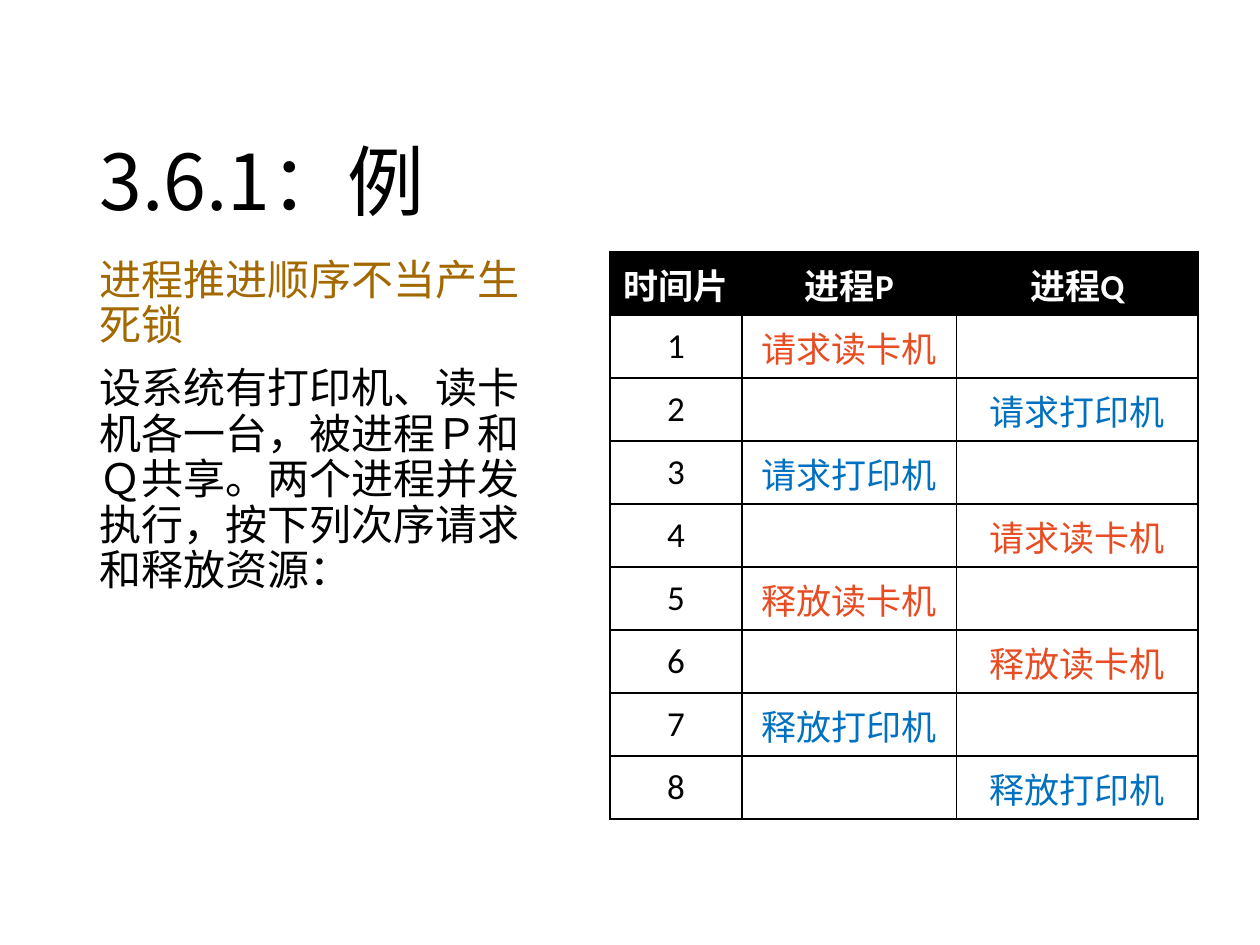
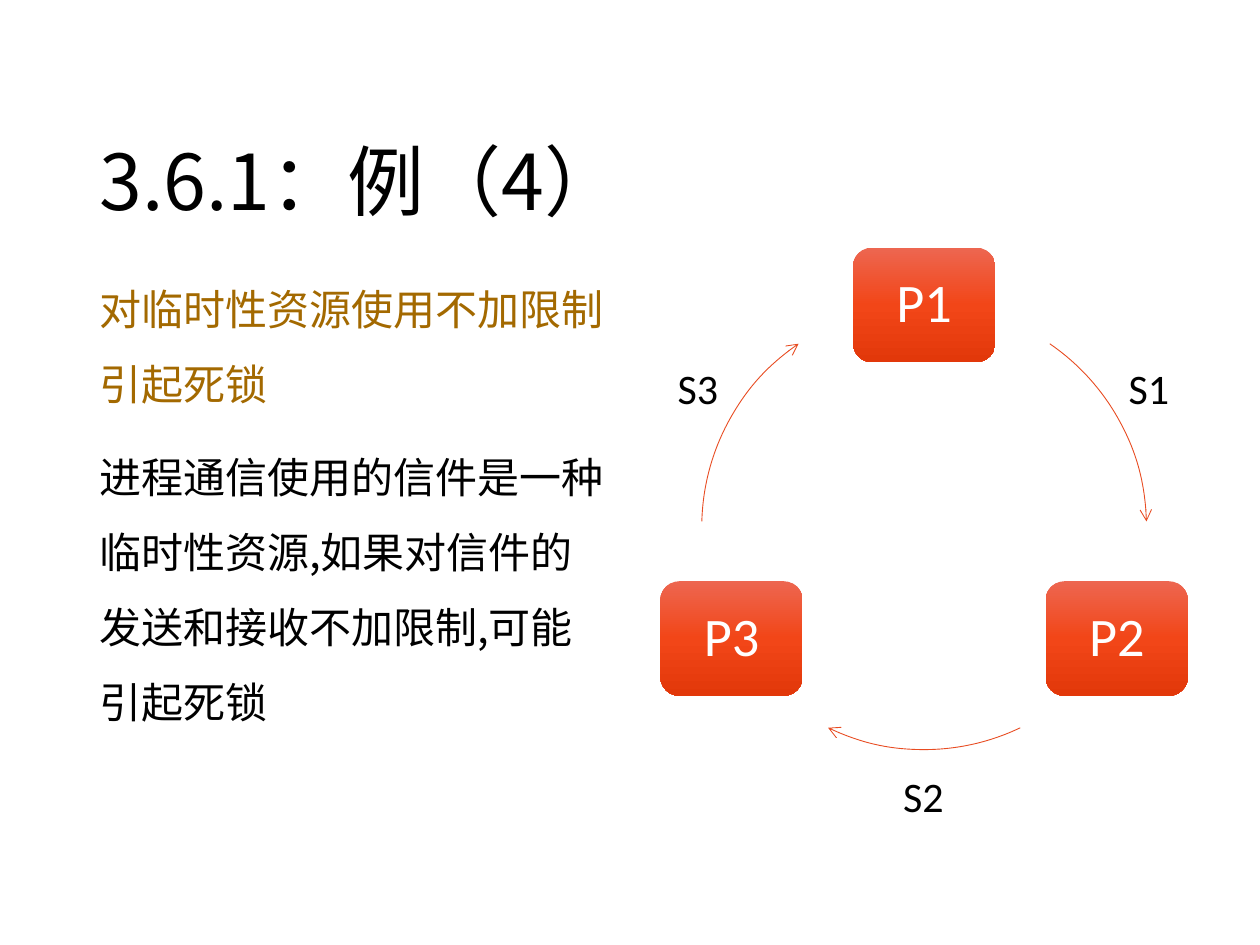
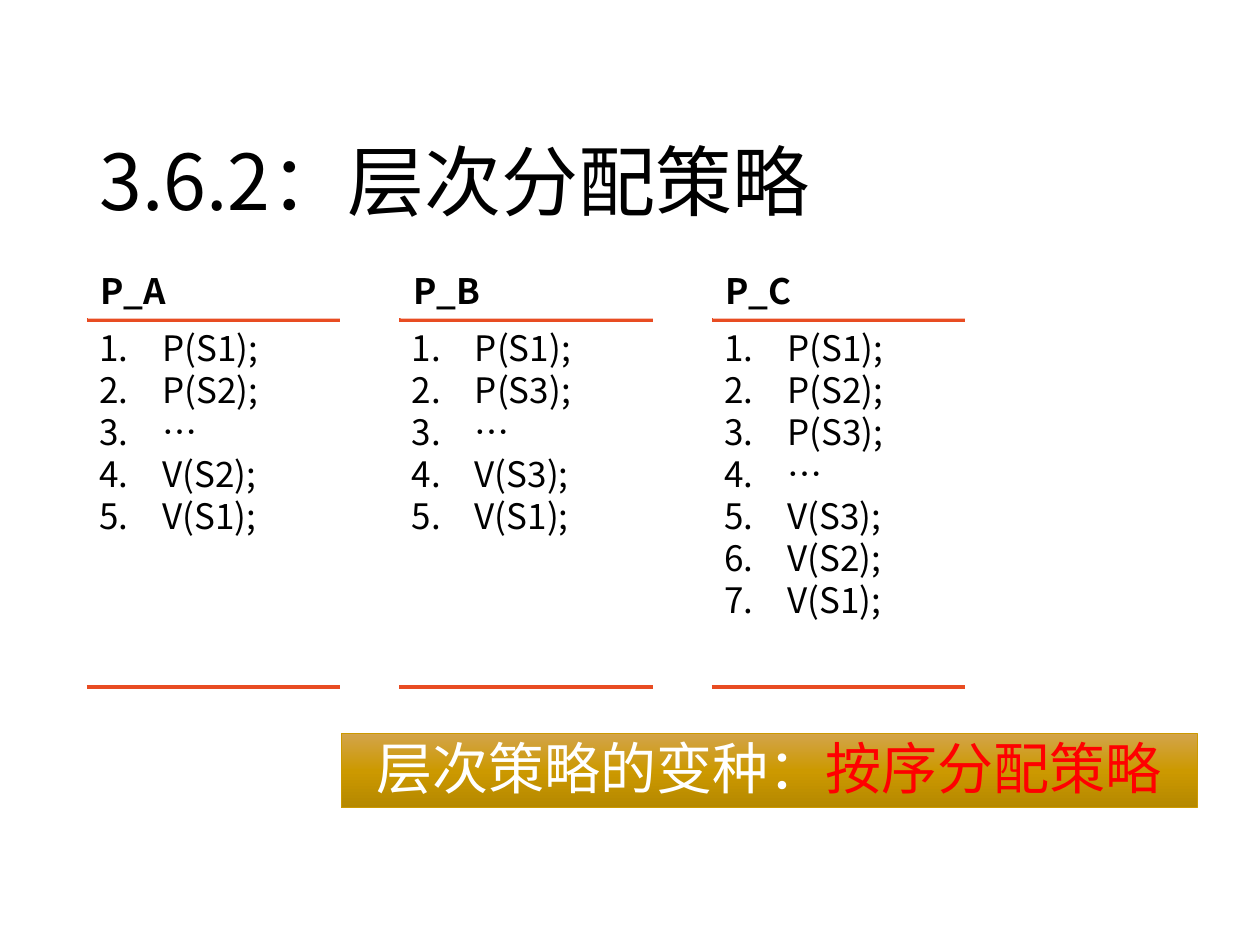
from dataclasses import dataclass
from copy import deepcopy
from math import cos, radians, sin

from lxml import etree
from pptx import Presentation, util as u
from pptx.dml.color import RGBColor
from pptx.enum import shapes, text
from pptx.oxml.ns import qn

CENTER = text.PP_ALIGN.CENTER
LEFT = text.PP_ALIGN.LEFT
COLUMNS, ROWS = 100, 75


@dataclass(frozen=True)
class Theme:
    cjk: str = "Noto Sans CJK SC"
    latin: str = "Calibri"
    black: str = "000000"
    white: str = "FFFFFF"
    ochre: str = "A36900"
    orange: str = "E84C22"
    blue: str = "0070C0"
    red: str = "FF0000"
    gold: str = "CC9900"
    orange_shades: tuple = ("ED6650", "F24618", "E2380A")
    gold_shades: tuple = ("D3A44B", "CC9900", "B58800")
    title_size: int = 44
    banner_size: int = 32
    node_size: int = 31
    body_size: int = 24
    small_size: int = 20
    hairline: float = 0.5
    border: float = 1
    rule: float = 2.25


class Deck:
    """Holds the theme and the current slide; places elements in grid columns and rows."""

    def __init__(self, theme):
        self.theme = theme
        self.presentation = Presentation()
        self.presentation.slide_width = u.Inches(10)
        self.presentation.slide_height = u.Inches(7.5)
        self.slide = None

    def x(self, columns):
        return round(self.presentation.slide_width * columns / COLUMNS)

    def y(self, rows):
        return round(self.presentation.slide_height * rows / ROWS)

    def place(self, left, top, width, height):
        return self.x(left), self.y(top), self.x(width), self.y(height)

    def new_slide(self, title):
        self.slide = self.presentation.slides.add_slide(self.presentation.slide_layouts[6])
        frame = self.text_box((6.9, 4, 86.2, 14.5), anchor=text.MSO_ANCHOR.BOTTOM)
        self.fill_paragraph(frame.paragraphs[0], title, self.theme.title_size, spacing=0.9)

    def style(self, paragraph, size, color, font=None, bold=False):
        font = font or self.theme.cjk
        paragraph.font.size = u.Pt(size)
        paragraph.font.bold = bold
        paragraph.font.color.rgb = RGBColor.from_string(color)
        paragraph.font.name = font
        defaults = paragraph._p.pPr.find(qn("a:defRPr"))
        etree.SubElement(defaults, qn("a:ea"), typeface=self.theme.cjk)

    def fill_paragraph(self, paragraph, words, size, color=None, font=None, bold=False,
                       align=LEFT, spacing=None):
        paragraph.add_run().text = words
        paragraph.alignment = align
        if spacing:
            paragraph.line_spacing = spacing
        self.style(paragraph, size, color or self.theme.black, font, bold)

    def text_box(self, box, anchor=text.MSO_ANCHOR.TOP, wrap=True):
        frame = self.slide.shapes.add_textbox(*self.place(*box)).text_frame
        frame.word_wrap = wrap
        frame.vertical_anchor = anchor
        return frame

    def body(self, width, topic, explanation, spacing):
        frame = self.text_box((6.9, 20, width, 47.6))
        self.fill_paragraph(frame.paragraphs[0], topic, self.theme.body_size,
                            self.theme.ochre, spacing=u.Pt(spacing))
        paragraph = frame.add_paragraph()
        paragraph.space_before = u.Pt(10)
        self.fill_paragraph(paragraph, explanation, self.theme.body_size,
                            spacing=u.Pt(spacing))

    def label(self, words, center_x, center_y):
        frame = self.text_box((center_x - 2.65, center_y - 2.5, 5.3, 5), wrap=False)
        self.fill_paragraph(frame.paragraphs[0], words, self.theme.body_size,
                            font=self.theme.latin)

    def shape(self, kind, box, shades, anchor=text.MSO_ANCHOR.TOP):
        """Add a borderless shape; several shades make a gradient from top to bottom."""
        shape = self.slide.shapes.add_shape(kind, *self.place(*box))
        shape.shadow.inherit = False
        shape.line.fill.background()
        shape.text_frame.word_wrap = True
        shape.text_frame.vertical_anchor = anchor
        if len(shades) == 1:
            shape.fill.solid()
            shape.fill.fore_color.rgb = RGBColor.from_string(shades[0])
            return shape
        shape.fill.gradient()
        shape.fill.gradient_angle = 270
        stop_list = shape._element.spPr.find(".//" + qn("a:gsLst"))
        while len(stop_list) < len(shades):
            stop_list.append(deepcopy(stop_list[0]))
        for index, (stop, shade) in enumerate(zip(shape.fill.gradient_stops, shades)):
            stop.position = index / (len(shades) - 1)
            stop.color.rgb = RGBColor.from_string(shade)
        return shape

    def node(self, words, center_x, center_y):
        box = (center_x - 5.65, center_y - 4.55, 11.3, 9.1)
        shape = self.shape(shapes.MSO_SHAPE.ROUNDED_RECTANGLE, box,
                           self.theme.orange_shades, text.MSO_ANCHOR.MIDDLE)
        self.fill_paragraph(shape.text_frame.paragraphs[0], words, self.theme.node_size,
                            self.theme.white, self.theme.latin, align=CENTER, spacing=0.9)

    def arc_arrow(self, center_x, center_y, radius, start, end):
        """Draw a clockwise arc between two angles in degrees, with an arrowhead at its end."""
        box = (center_x - radius, center_y - radius, 2 * radius, 2 * radius)
        arc = self.slide.shapes.add_shape(shapes.MSO_SHAPE.ARC, *self.place(*box))
        arc.shadow.inherit = False
        arc.fill.background()
        for index, angle in enumerate((start, end)):
            arc.adjustments[index] = angle % 360 * 0.6
        arc.line.color.rgb = RGBColor.from_string(self.theme.orange)
        arc.line.width = u.Pt(self.theme.hairline)
        outline = arc._element.spPr.find(qn("a:ln"))
        etree.SubElement(outline, qn("a:tailEnd"), type="arrow")

    def rule(self, left, top, width):
        line = self.slide.shapes.add_connector(
            shapes.MSO_CONNECTOR.STRAIGHT,
            self.x(left), self.y(top), self.x(left + width), self.y(top))
        line.line.color.rgb = RGBColor.from_string(self.theme.orange)
        line.line.width = u.Pt(self.theme.rule)
        etree.SubElement(line._element.spPr, qn("a:effectLst"))

    def listing(self, left, name, steps):
        """Add a named, numbered list of steps between two rules."""
        top, width, height, header = 25.4, 20.1, 29.1, 4.4
        rectangle = shapes.MSO_SHAPE.RECTANGLE
        panel = self.shape(rectangle, (left, top, width, height), [self.theme.white])
        frame = panel.text_frame
        for index, step in enumerate(steps):
            paragraph = frame.add_paragraph() if index else frame.paragraphs[0]
            properties = paragraph._p.get_or_add_pPr()
            properties.set("marL", str(u.Inches(0.5)))
            properties.set("indent", str(-u.Inches(0.5)))
            etree.SubElement(properties, qn("a:buFont"), typeface=self.theme.cjk)
            etree.SubElement(properties, qn("a:buAutoNum"), type="arabicPeriod")
            self.fill_paragraph(paragraph, step, self.theme.small_size, spacing=u.Pt(24))
        for edge in (top, top + height):
            self.rule(left, edge, width)
        heading = self.shape(rectangle, (left + 0.1, top - header - 0.1, width, header),
                             [self.theme.white])
        self.fill_paragraph(heading.text_frame.paragraphs[0], name,
                            self.theme.small_size, bold=True)

    def banner(self, box, parts):
        shape = self.shape(shapes.MSO_SHAPE.RECTANGLE, box, self.theme.gold_shades)
        shape.line.color.rgb = RGBColor.from_string(self.theme.gold)
        shape.line.width = u.Pt(self.theme.hairline)
        paragraph = shape.text_frame.paragraphs[0]
        paragraph.alignment = CENTER
        paragraph.line_spacing = u.Pt(35)
        self.style(paragraph, self.theme.banner_size, self.theme.white)
        for words, color in parts:
            run = paragraph.add_run()
            run.text = words
            run.font.color.rgb = RGBColor.from_string(color)

    def cell_border(self, cell):
        properties = cell._tc.get_or_add_tcPr()
        for index, side in enumerate(("lnL", "lnR", "lnT", "lnB")):
            line = etree.Element(qn("a:" + side), w=str(u.Pt(self.theme.border)))
            fill = etree.SubElement(line, qn("a:solidFill"))
            etree.SubElement(fill, qn("a:srgbClr"), val=self.theme.black)
            properties.insert(index, line)

    def table(self, left, top, widths, row_height, rows):
        """Add a table from rows of (words, colour) cells; the first row is the header."""
        box = self.place(left, top, sum(widths), row_height * len(rows))
        table = self.slide.shapes.add_table(len(rows), len(widths), *box).table
        table.horz_banding = False
        for column, width in zip(table.columns, widths):
            column.width = self.x(width)
        for row_index, row in enumerate(rows):
            header = row_index == 0
            for column_index, (words, color) in enumerate(row):
                cell = table.cell(row_index, column_index)
                cell.vertical_anchor = text.MSO_ANCHOR.MIDDLE
                cell.fill.solid()
                cell.fill.fore_color.rgb = RGBColor.from_string(
                    self.theme.black if header else self.theme.white)
                self.cell_border(cell)
                if words:
                    self.fill_paragraph(cell.text_frame.paragraphs[0], words,
                                        self.theme.small_size, color, self.theme.latin,
                                        header, CENTER)


def order_slide(deck):
    theme = deck.theme
    deck.new_slide("3.6.1：例")
    deck.body(38, "进程推进顺序不当产生死锁",
              "设系统有打印机、读卡机各一台，被进程Ｐ和Ｑ共享。"
              "两个进程并发执行，按下列次序请求和释放资源：", 26)
    reader, printer = ("读卡机", theme.orange), ("打印机", theme.blue)
    actions = [("请求", reader), ("请求", printer), ("请求", printer), ("请求", reader),
               ("释放", reader), ("释放", reader), ("释放", printer), ("释放", printer)]
    rows = [[(name, theme.white) for name in ("时间片", "进程P", "进程Q")]]
    for index, (verb, (device, color)) in enumerate(actions):
        row = [(str(index + 1), theme.black), ("", color), ("", color)]
        row[1 + index % 2] = (verb + device, color)
        rows.append(row)
    deck.table(48.4, 20, (10.5, 17, 19.2), 5, rows)


def cycle_slide(deck):
    deck.new_slide("3.6.1：例（4）")
    deck.body(42.6, "对临时性资源使用不加限制引起死锁",
              "进程通信使用的信件是一种临时性资源,如果对信件的发送和接收不加限制,可能引起死锁", 43)
    center_x, center_y, radius = 73.35, 41.85, 17.65
    arcs = [(-55.6, -1.5), (64.4, 115.6), (181.5, 235.6)]
    for index, (start, end) in enumerate(arcs):
        angle = radians(120 * index - 90)
        deck.node(f"P{index + 1}", center_x + radius * cos(angle),
                  center_y + radius * sin(angle))
        deck.arc_arrow(center_x, center_y, radius, start, end)
    for name, shift_x, label_y in (("S3", -17.9, 30.8), ("S2", 0, 63.2), ("S1", 17.9, 30.8)):
        deck.label(name, center_x + shift_x, label_y)


def layered_slide(deck):
    deck.new_slide("3.6.2：层次分配策略")
    processes = {
        "P_A": ("S1", "S2"),
        "P_B": ("S1", "S3"),
        "P_C": ("S1", "S2", "S3"),
    }
    for index, (name, locks) in enumerate(processes.items()):
        steps = [f"P({lock});" for lock in locks] + ["…"]
        steps += [f"V({lock});" for lock in reversed(locks)]
        deck.listing(6.9 + 24.8 * index, name, steps)
    deck.banner((27.1, 58.2, 67.9, 5.9), [("层次策略的变种：", deck.theme.white),
                                          ("按序分配策略", deck.theme.red)])


def main():
    deck = Deck(Theme())
    for build in (order_slide, cycle_slide, layered_slide):
        build(deck)
    deck.presentation.save("out.pptx")


if __name__ == "__main__":
    main()
